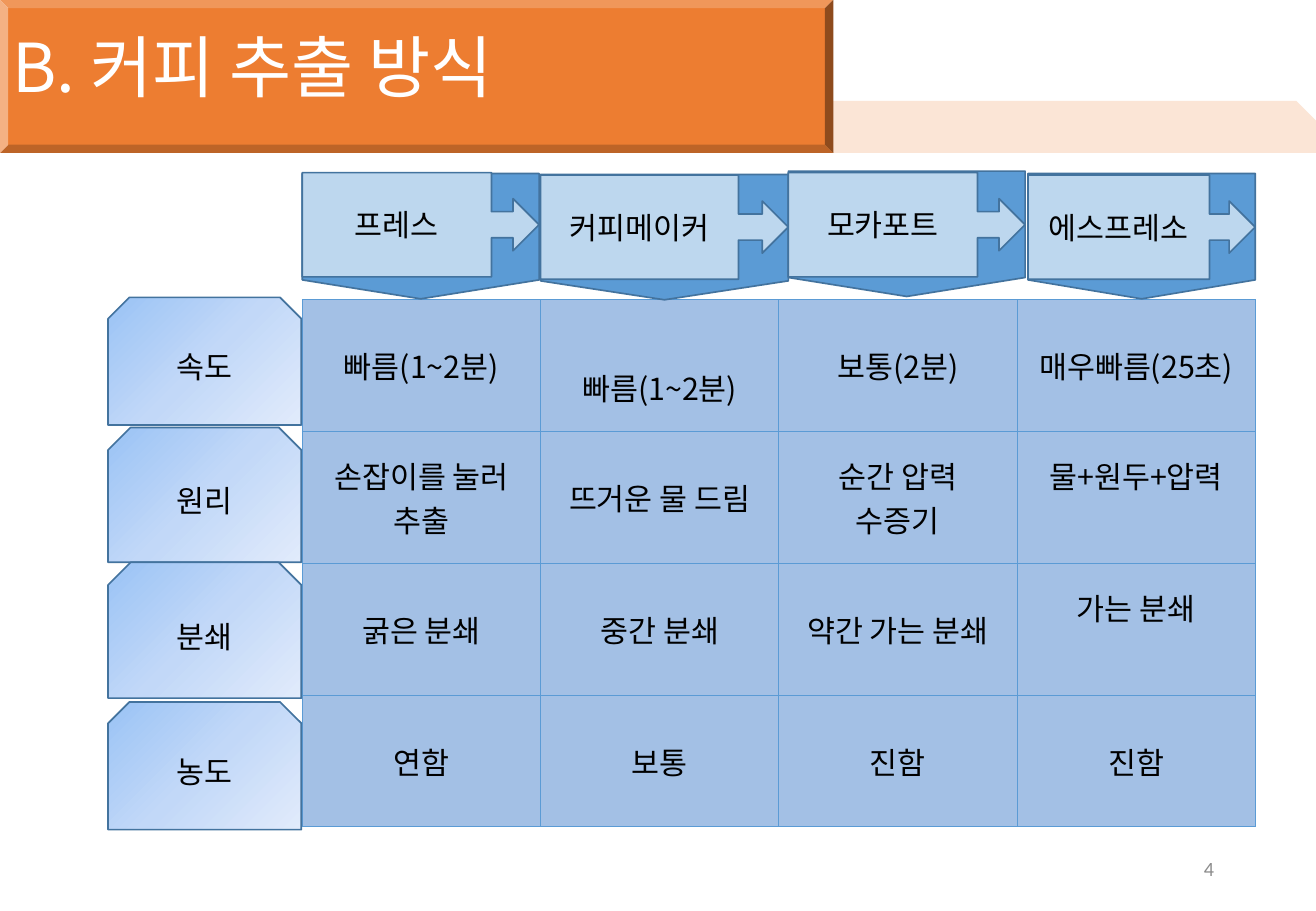
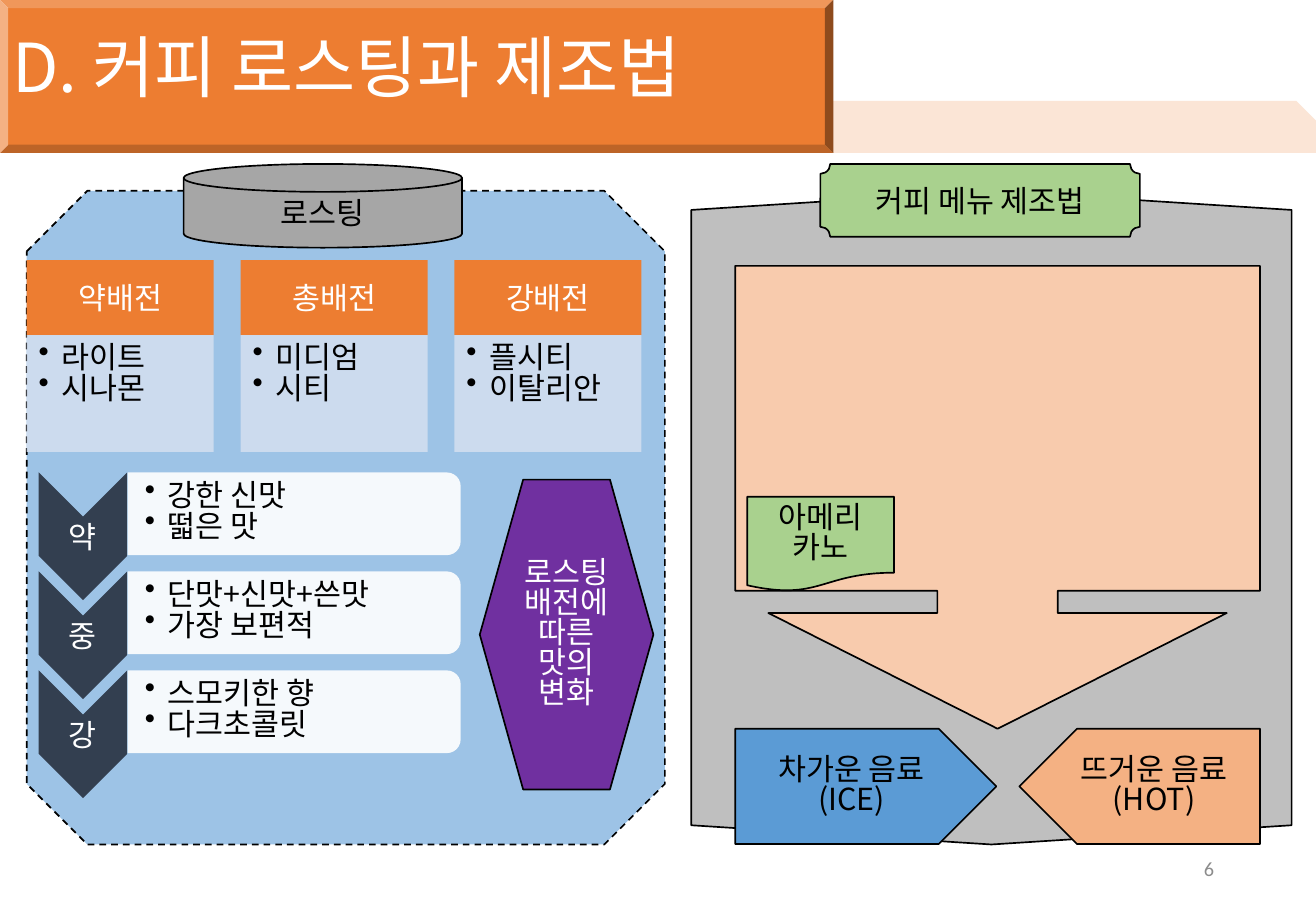
from copy import deepcopy

from lxml.etree import SubElement
from pptx import Presentation
from pptx.dml.color import RGBColor
from pptx.enum.dml import MSO_LINE
from pptx.enum.shapes import MSO_SHAPE as Kind
from pptx.enum.text import MSO_ANCHOR, MSO_AUTO_SIZE, PP_ALIGN
from pptx.oxml.ns import qn
from pptx.util import Cm, Pt

FONT = "Noto Sans CJK KR"
TIGHT = 0.82
INKS = {
    "black": "000000", "white": "FFFFFF", "gray": "8C8C8C",
    "orange": "ED7D31", "cream": "FBE5D6", "peach": "F8CBAD", "amber": "F4B183",
    "blue": "5B9BD5", "edge": "43739E", "pale": "BDD7EE", "cell": "A3C0E5",
    "sky": "9DC3E6", "mist": "D2DEEF", "navy": "333F50", "violet": "7030A0",
    "steel": "A6A6A6", "silver": "BFBFBF", "green": "A9D18E",
    "fade1": "9AC3F5", "fade2": "C2D8F8", "fade3": "E1EBFB",
}
HEADS = [
    ("프레스", 0, 0.03, 0.05, 4.95),
    ("커피메이커", 4.98, 0.08, 0.07, 5.18),
    ("모카포트", 10.16, 0.03, 0, 4.95),
    ("에스프레소", 15.17, 0.08, 0.05, 4.75),
]
SIDES = [("속도", 0, 2.67), ("원리", 2.72, 2.82), ("분쇄", 5.54, 2.84), ("농도", 8.46, 2.67)]
GRID = [
    [["빠름(1~2분)"], ["빠름(1~2분)"], ["보통(2분)"], ["매우빠름(25초)"]],
    [["손잡이를 눌러", "추출"], ["뜨거운 물 드림"], ["순간 압력", "수증기"], ["물+원두+압력"]],
    [["굵은 분쇄"], ["중간 분쇄"], ["약간 가는 분쇄"], ["가는 분쇄"]],
    [["연함"], ["보통"], ["진함"], ["진함"]],
]
LOWER = {(0, 1)}
RAISED = {(1, 3), (2, 3)}
CARDS = [
    ("약배전", ["라이트", "시나몬"]),
    ("총배전", ["미디엄", "시티"]),
    ("강배전", ["플시티", "이탈리안"]),
]
STEPS = [
    ("약", ["강한 신맛", "떫은 맛"]),
    ("중", ["단맛+신맛+쓴맛", "가장 보편적"]),
    ("강", ["스모키한 향", "다크초콜릿"]),
]


def ink(name):
    """Return the named colour."""
    return RGBColor.from_string(INKS[name])


def within(box, x, y, w, h):
    """Return a box set off from the corner of another."""
    return box[0] + x, box[1] + y, w, h


def write(frame, lines, color="black", size=18, font=FONT, align=PP_ALIGN.CENTER,
          pace=None, bullet=False):
    """Write each line as a paragraph of one run."""
    for i, line in enumerate(lines):
        para = frame.add_paragraph() if i else frame.paragraphs[0]
        para.alignment = PP_ALIGN.LEFT if bullet else align
        para.line_spacing = pace
        run = para.add_run()
        run.text = line
        run.font.size = Pt(size)
        run.font.name = font
        run.font.color.rgb = ink(color)
        SubElement(run.font._element, qn("a:ea")).set("typeface", font)
        if bullet:
            para.line_spacing = 0.9 * TIGHT
            para.space_after = Pt(2.7)
            props = para._p.get_or_add_pPr()
            props.set("marL", str(Cm(0.48)))
            props.set("indent", str(-Cm(0.48)))
            SubElement(props, qn("a:buChar")).set("char", "•")


def inset(frame, left, top, right, bottom):
    """Set the four margins of a text frame or cell."""
    frame.margin_left, frame.margin_top = Cm(left), Cm(top)
    frame.margin_right, frame.margin_bottom = Cm(right), Cm(bottom)


def draw(slide, kind, box, fill, line=None, lines=(), adj=(), turn=False, alpha=None, **style):
    """Draw a preset shape that fills the box, turned a quarter if asked."""
    x, y, w, h = box
    if turn:
        x, y, w, h = x + (w - h) / 2, y + (h - w) / 2, h, w
    shape = slide.shapes.add_shape(kind, Cm(x), Cm(y), Cm(w), Cm(h))
    shape.rotation = 90 if turn else 0
    shape.shadow.inherit = False
    for i, value in enumerate(adj):
        shape.adjustments[i] = value
    shape.fill.solid()
    shape.fill.fore_color.rgb = ink(fill)
    if alpha:
        tone = shape.element.spPr.find(".//" + qn("a:srgbClr"))
        SubElement(tone, qn("a:alpha")).set("val", str(alpha * 1000))
    if line:
        shape.line.color.rgb = ink(line)
        shape.line.width = Pt(1)
    else:
        shape.line.fill.background()
    shape.text_frame.vertical_anchor = MSO_ANCHOR.MIDDLE
    write(shape.text_frame, lines, **style)
    return shape


def label(slide, box, lines, **style):
    """Place a text box and return its frame."""
    frame = slide.shapes.add_textbox(*map(Cm, box)).text_frame
    frame.word_wrap = True
    frame.vertical_anchor = MSO_ANCHOR.MIDDLE
    write(frame, lines, **style)
    return frame


def brand(layout, slide):
    """Give the layout its title place and its two bands."""
    title = layout.placeholders.get(0)
    title.left, title.top, title.width, title.height = map(Cm, (0, -0.25, 17.7, 3.45))
    bands = [
        draw(slide, Kind.SNIP_1_RECTANGLE, (12.95, 2.11, 14.56, 1.09), "cream", adj=[0.378]),
        draw(slide, Kind.BEVEL, (0, 0, 17.42, 3.2), "orange", adj=[0.054]),
    ]
    for i, band in enumerate(bands):
        band.element.nvSpPr.cNvPr.set("id", str(20 + i))
        layout.shapes.element.insert(2 + i, band.element)


def start(slide, title, number):
    """Write the title and the slide number."""
    frame = slide.shapes.title.text_frame
    frame.auto_size = MSO_AUTO_SIZE.NONE
    frame.vertical_anchor = MSO_ANCHOR.MIDDLE
    write(frame, [title], color="white", size=40, align=PP_ALIGN.LEFT, pace=0.9)
    label(slide, (19.43, 17.65, 6.2, 1.02), [number], color="gray", size=12,
          font="Calibri", align=PP_ALIGN.RIGHT)


def rule(cell):
    """Give a cell thin borders on all sides."""
    props = cell._tc.get_or_add_tcPr()
    for side in ("a:lnL", "a:lnR", "a:lnT", "a:lnB"):
        edge = SubElement(props, qn(side), w=str(Pt(0.5)))
        fill = SubElement(edge, qn("a:solidFill"))
        SubElement(fill, qn("a:srgbClr"), val=INKS["blue"])


def chart(slide, box):
    """Build the table of brewing methods."""
    rows, cols = len(GRID), len(GRID[0])
    table = slide.shapes.add_table(rows, cols, *map(Cm, box)).table
    table.first_row = table.horz_banding = False
    for r, row in enumerate(GRID):
        table.rows[r].height = Cm(box[3] / rows)
        for c, lines in enumerate(row):
            table.columns[c].width = Cm(box[2] / cols)
            cell = table.cell(r, c)
            rule(cell)
            cell.fill.solid()
            cell.fill.fore_color.rgb = ink("cell")
            cell.vertical_anchor = MSO_ANCHOR.MIDDLE
            inset(cell, 0.25, 1.05 if (r, c) in LOWER else 0.13,
                  0.25, 1.05 if (r, c) in RAISED else 0.13)
            write(cell.text_frame, lines)


def heads(slide, box):
    """Draw the column heads, each an arrow box on a pointed plate."""
    for name, x, top, back, w in HEADS:
        draw(slide, Kind.PENTAGON, within(box, x, back, w, 2.62), "blue", "edge",
             adj=[0.151], turn=True)
        draw(slide, Kind.RIGHT_ARROW_CALLOUT, within(box, x, top, w, 2.18), "pale", "edge",
             [name], adj=[0.25, 0.25, 0.25, 0.799])


def sides(slide, box):
    """Draw the row heads with a slanted colour fade."""
    for name, y, h in SIDES:
        shape = draw(slide, Kind.SNIP_2_SAME_RECTANGLE, within(box, 0, y, box[2], h),
                     "fade1", "edge", [name])
        shape.fill.gradient()
        shape.fill.gradient_angle = 315
        stops = shape.element.spPr.find(".//" + qn("a:gsLst"))
        stops.insert(1, deepcopy(stops[0]))
        for i, stop in enumerate(shape.fill.gradient_stops):
            stop.position = i / 2
            stop.color.rgb = ink(f"fade{i + 1}")


def cards(slide, box):
    """Draw the roast levels as headed cards."""
    for i, (name, items) in enumerate(CARDS):
        x = i * 4.47
        draw(slide, Kind.RECTANGLE, within(box, x, 0, 3.91, 1.57), "orange",
             lines=[name], color="white")
        body = draw(slide, Kind.RECTANGLE, within(box, x, 1.57, 3.91, 2.44), "mist",
                    lines=items, alpha=90, bullet=True).text_frame
        body.vertical_anchor = MSO_ANCHOR.TOP
        inset(body, 0.25, 0.25, 0.36, 0.41)


def steps(slide, box):
    """Draw the chevrons with their tasting notes."""
    for i, (name, items) in enumerate(STEPS):
        spot = within(box, 0, i * 2.07, 1.85, 2.67)
        draw(slide, Kind.CHEVRON, spot, "navy", turn=True)
        label(slide, spot, [name], color="white")
        note = within(spot, 1.86, 0, 6.96, 1.73)
        draw(slide, Kind.ROUND_2_SAME_RECTANGLE, note, "white", turn=True, alpha=90)
        inset(label(slide, note, items, bullet=True), 0.36, 0.03, 0.03, 0.03)


def roast(slide, box):
    """Draw the roasting panel."""
    panel = draw(slide, Kind.OCTAGON, box, "sky", "black", adj=[0.095])
    panel.line.dash_style = MSO_LINE.DASH
    draw(slide, Kind.FLOWCHART_MAGNETIC_DISK, within(box, 3.28, -0.56, 5.82, 1.75),
         "steel", "black", ["로스팅"])
    cards(slide, within(box, 0, 1.45, 12.85, 4.01))
    steps(slide, within(box, 0.25, 5.89, 8.82, 6.81))
    draw(slide, Kind.HEXAGON, within(box, 9.47, 6.04, 3.63, 6.48), "violet", "black",
         ["로스팅", "배전에", "따른", "맛의", "변화"], color="white", pace=TIGHT)


def menu(slide, box):
    """Draw the drink making panel."""
    draw(slide, Kind.HEXAGON, box, "silver", "black", adj=[0.032], turn=True)
    draw(slide, Kind.PLAQUE, within(box, 2.7, -0.56, 6.68, 1.52), "green", "black",
         ["커피 메뉴 제조법"], adj=[0.136])
    draw(slide, Kind.DOWN_ARROW_CALLOUT, within(box, 0.92, 1.57, 10.97, 9.68), "peach", "black",
         adj=[0.26, 0.495, 0.25, 0.702])
    draw(slide, Kind.PENTAGON, within(box, 0.92, 11.25, 5.46, 2.41), "blue", "black",
         ["차가운 음료", "(ICE)"], pace=TIGHT)
    hot = draw(slide, Kind.PENTAGON, within(box, 6.86, 11.25, 5.03, 2.41), "amber", "black",
               ["뜨거운 음료", "(HOT)"], pace=TIGHT)
    hot.element.spPr.find(qn("a:xfrm")).set("flipH", "1")
    draw(slide, Kind.FLOWCHART_DOCUMENT, within(box, 1.17, 6.4, 3.07, 1.98), "green", "black",
         ["아메리", "카노"], pace=TIGHT)


def main():
    """Build both slides and save them."""
    deck = Presentation()
    deck.slide_width, deck.slide_height = Cm(27.51), Cm(19.05)
    layout = deck.slide_layouts[5]
    brew = deck.slides.add_slide(layout)
    brand(layout, brew)
    start(brew, "B. 커피 추출 방식", "4")
    chart(brew, (6.32, 6.27, 19.92, 11.02))
    sides(brew, (2.26, 6.22, 4.04, 11.13))
    heads(brew, (6.32, 3.58, 19.92, 2.67))

    make = deck.slides.add_slide(layout)
    start(make, "D. 커피 로스팅과 제조법", "6")
    roast(make, (0.56, 3.99, 13.34, 13.67))
    menu(make, (14.45, 3.99, 12.55, 13.67))
    deck.save("out.pptx")


if __name__ == "__main__":
    main()
